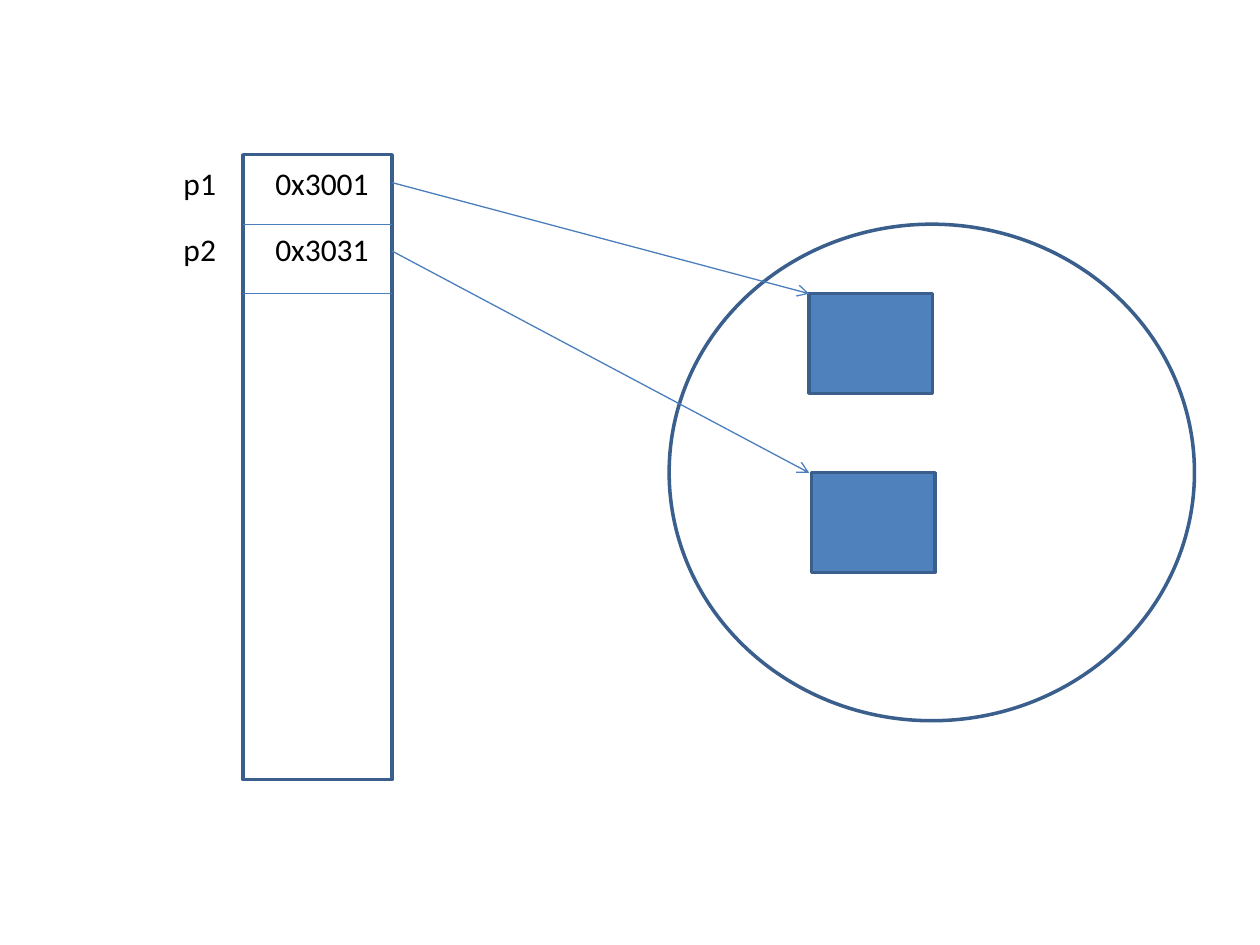
from lxml import etree
from pptx import Presentation
from pptx.dml.color import RGBColor
from pptx.enum.shapes import MSO_CONNECTOR, MSO_SHAPE
from pptx.enum.text import MSO_AUTO_SIZE
from pptx.oxml.ns import qn
from pptx.util import Cm, Pt

BLUE = RGBColor(0x4F, 0x81, 0xBD)
OUTLINE = RGBColor(0x3A, 0x5F, 0x8C)
LINK = RGBColor(0x4B, 0x7E, 0xBC)
BLACK = RGBColor(0, 0, 0)

# Content, lengths in cm
# name, address, label top, divider y, arrow start y, object left, object top
POINTERS = [
    ("p1", "0x3001", 3.18, 4.52, 3.68, 16.31, 5.92),
    ("p2", "0x3031", 4.52, 5.92, 5.06, 16.36, 9.53),
]
STACK = (4.9, 3.12, 3.0, 12.6)
HEAP = (13.49, 4.52, 10.59, 10.01)
OBJECT_SIZE = (2.49, 2.01)
NAME_X, NAME_W = 3.45, 1.4
ADDRESS_X, ADDRESS_W = 5.3, 2.62
LABEL_H = 1.02
ARROW_END_X = 16.31

prs = Presentation()
prs.slide_width, prs.slide_height = Cm(25.4), Cm(19.05)
slide = prs.slides.add_slide(prs.slide_layouts[6])
shapes = slide.shapes


def add_outline(kind, box, fill=None):
    sp = shapes.add_shape(kind, *map(Cm, box))
    sp.shadow.inherit = False
    if fill is None:
        sp.fill.background()
    else:
        sp.fill.solid()
        sp.fill.fore_color.rgb = fill
    sp.line.color.rgb = OUTLINE
    sp.line.width = Pt(2)


def add_label(text, x, y, width):
    tf = shapes.add_textbox(Cm(x), Cm(y), Cm(width), Cm(LABEL_H)).text_frame
    tf.word_wrap = True
    tf.auto_size = MSO_AUTO_SIZE.SHAPE_TO_FIT_TEXT
    tf.text = text
    font = tf.paragraphs[0].runs[0].font
    font.name, font.size = "Calibri", Pt(18)
    font.color.rgb = BLACK


def add_line(x1, y1, x2, y2, arrow=False):
    cxn = shapes.add_connector(MSO_CONNECTOR.STRAIGHT, *map(Cm, (x1, y1, x2, y2)))
    cxn.line.color.rgb = LINK
    cxn.line.width = Pt(0.75)
    if arrow:
        ln = cxn.line._get_or_add_ln()
        etree.SubElement(ln, qn("a:tailEnd"), type="arrow")
    etree.SubElement(cxn._element.spPr, qn("a:effectLst"))


# Heap with its objects, then the stack
add_outline(MSO_SHAPE.OVAL, HEAP)
for *_, left, top in POINTERS:
    add_outline(MSO_SHAPE.RECTANGLE, (left, top, *OBJECT_SIZE), BLUE)
add_outline(MSO_SHAPE.RECTANGLE, STACK)

# Pointer cells and their arrows
stack_left, stack_right = STACK[0], STACK[0] + STACK[2]
for name, address, label_y, divider_y, start_y, _, top in POINTERS:
    add_label(name, NAME_X, label_y, NAME_W)
    add_label(address, ADDRESS_X, label_y, ADDRESS_W)
    add_line(stack_left, divider_y, stack_right, divider_y)
    add_line(stack_right, start_y, ARROW_END_X, top, arrow=True)

prs.save("out.pptx")
